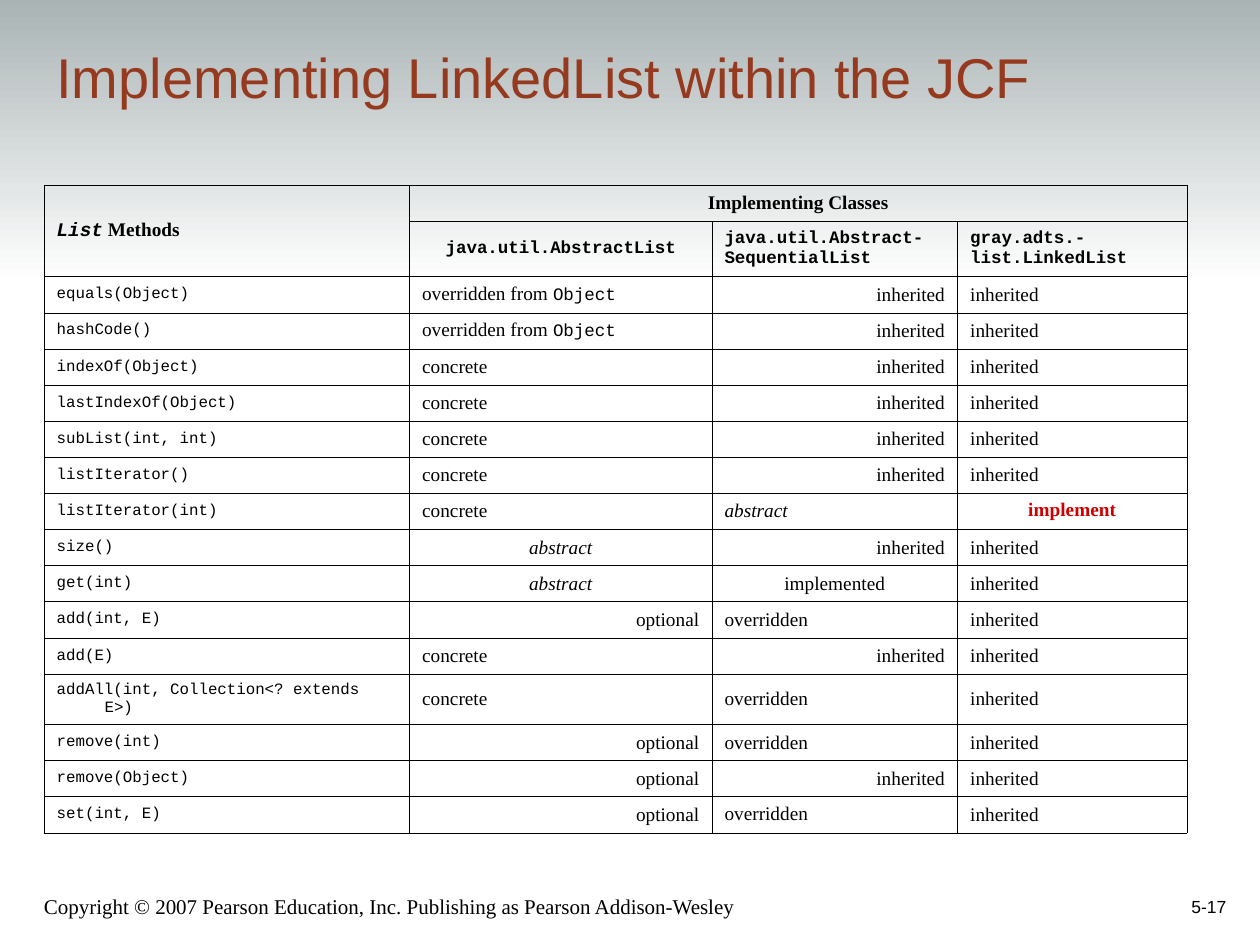
from lxml import etree
from pptx import Presentation
from pptx.dml.color import RGBColor
from pptx.enum import shapes, text
from pptx.oxml import parse_xml
from pptx.oxml.ns import nsdecls
from pptx.util import Inches, Pt

BLACK = RGBColor(0, 0, 0)
WHITE = RGBColor(255, 255, 255)
GRAY = RGBColor(0xA7, 0xB1, 0xB2)
RUST = RGBColor(0x95, 0x3A, 0x1F)
RED = RGBColor(0xCC, 0, 0)
SERIF, SANS, MONO = "Times New Roman", "Arial", "Courier New"
LEFT, MID, RIGHT = text.PP_ALIGN.LEFT, text.PP_ALIGN.CENTER, text.PP_ALIGN.RIGHT


def style(run, font, size, color=BLACK, bold=False, italic=False):
    face = run.font
    face.name, face.size = font, Pt(size)
    face.bold, face.italic = bold, italic
    face.color.rgb = color


def hang(par, align=LEFT):
    """Align a paragraph and give it a hanging indent."""
    par.alignment = align
    props = par._p.get_or_add_pPr()
    props.set("marL", str(Inches(0.38)))
    props.set("indent", str(-Inches(0.38)))


prs = Presentation()
prs.slide_width, prs.slide_height = Inches(10), Inches(7.5)
slide = prs.slides.add_slide(prs.slide_layouts[6])

# Background fade
band = slide.shapes.add_shape(shapes.MSO_SHAPE.RECTANGLE, Inches(0),
                              Inches(-0.08), Inches(10), Inches(2.33))
band.shadow.inherit = False
band.line.fill.background()
band.fill.gradient()
band.fill.gradient_angle = 270
for stop, color in zip(band.fill.gradient_stops, (GRAY, WHITE)):
    stop.color.rgb = color

# Title, copyright line and page number
labels = [
    ("Implementing LinkedList within the JCF",
     (0.35, 0.24, 8.47, 0.68), LEFT, SANS, 32, RUST),
    ("Copyright © 2007 Pearson Education, Inc. Publishing as Pearson Addison-Wesley",
     (0.25, 6.92, 6.08, 0.42), LEFT, SERIF, 12, BLACK),
    ("5-17", (7.75, 6.83, 2.08, 0.5), RIGHT, SANS, 10, BLACK),
]
for words, place, align, font, size, color in labels:
    frame = slide.shapes.add_textbox(*map(Inches, place)).text_frame
    frame.word_wrap = True
    frame.vertical_anchor = text.MSO_ANCHOR.BOTTOM
    frame.text = words
    par = frame.paragraphs[0]
    par.alignment = align
    style(par.runs[0], font, size, color)

# Table grid
methods = [
    ("equals(Object)", "overridden from Object", "inherited", "inherited"),
    ("hashCode()", "overridden from Object", "inherited", "inherited"),
    ("indexOf(Object)", "concrete", "inherited", "inherited"),
    ("lastIndexOf(Object)", "concrete", "inherited", "inherited"),
    ("subList(int, int)", "concrete", "inherited", "inherited"),
    ("listIterator()", "concrete", "inherited", "inherited"),
    ("listIterator(int)", "concrete", "abstract", "implement"),
    ("size()", "abstract", "inherited", "inherited"),
    ("get(int)", "abstract", "implemented", "inherited"),
    ("add(int, E)", "optional", "overridden", "inherited"),
    ("add(E)", "concrete", "inherited", "inherited"),
    ("addAll(int, Collection<? extends E>)", "concrete", "overridden", "inherited"),
    ("remove(int)", "optional", "overridden", "inherited"),
    ("remove(Object)", "optional", "inherited", "inherited"),
    ("set(int, E)", "optional", "overridden", "inherited"),
]
count = len(methods) + 2
table = slide.shapes.add_table(count, 4, Inches(0.35), Inches(1.47),
                               Inches(9.07), Inches(5.14)).table
table.first_row = table.horz_banding = False
for col, width in zip(table.columns, (2.9, 2.4, 1.95, 1.82)):
    col.width = Inches(width)
tall = {1: 0.44, 13: 0.4}
plain = (5.14 - sum(tall.values())) / (count - len(tall))
for i, row in enumerate(table.rows):
    row.height = Inches(tall.get(i, plain))

for cell in table.iter_cells():
    cell.vertical_anchor = text.MSO_ANCHOR.MIDDLE
    props = cell._tc.get_or_add_tcPr()
    for side in "LRTB":
        props.append(parse_xml(
            f'<a:ln{side} {nsdecls("a")} w="{Pt(0.45)}"><a:solidFill>'
            f'<a:srgbClr val="{BLACK}"/></a:solidFill></a:ln{side}>'))
    cell.fill.background()

# Header rows
table.cell(0, 0).merge(table.cell(1, 0))
table.cell(0, 1).merge(table.cell(0, 3))
par = table.cell(0, 0).text_frame.paragraphs[0]
hang(par)
for words, font in (("List", MONO), (" Methods", SERIF)):
    run = par.add_run()
    run.text = words
    style(run, font, 11, bold=True, italic=font == MONO)

heads = [
    (0, 1, "Implementing Classes", MID, SERIF, 11),
    (1, 1, "java.util.AbstractList", MID, MONO, 10),
    (1, 2, "java.util.Abstract-SequentialList", None, MONO, 10),
    (1, 3, "gray.adts.-\nlist.LinkedList", LEFT, MONO, 10),
]
for r, c, words, align, font, size in heads:
    frame = table.cell(r, c).text_frame
    frame.text = words
    for par in frame.paragraphs:
        if align is not None:
            hang(par, align)
        style(par.runs[0], font, size, bold=True)

# Method rows: the word and its column decide the alignment
sides = {(1, "abstract"): MID, (1, "optional"): RIGHT, (2, "inherited"): RIGHT,
         (2, "implemented"): MID, (3, "implement"): MID}
for r, row in enumerate(methods, 2):
    for c, words in enumerate(row):
        par = table.cell(r, c).text_frame.paragraphs[0]
        hang(par, sides.get((c, words), LEFT))
        lead, sep, tail = words.partition("from ")
        run = par.add_run()
        run.text = lead + sep
        key = words == "implement"
        if c == 0:
            style(run, MONO, 9)
        else:
            style(run, SERIF, 11, RED if key else BLACK, key, words == "abstract")
        if tail:
            run = par.add_run()
            run.text = tail
            style(run, MONO, 10)
for spot in ((8, 3), (16, 2)):
    table.cell(*spot).vertical_anchor = text.MSO_ANCHOR.TOP

prs.save("out.pptx")
